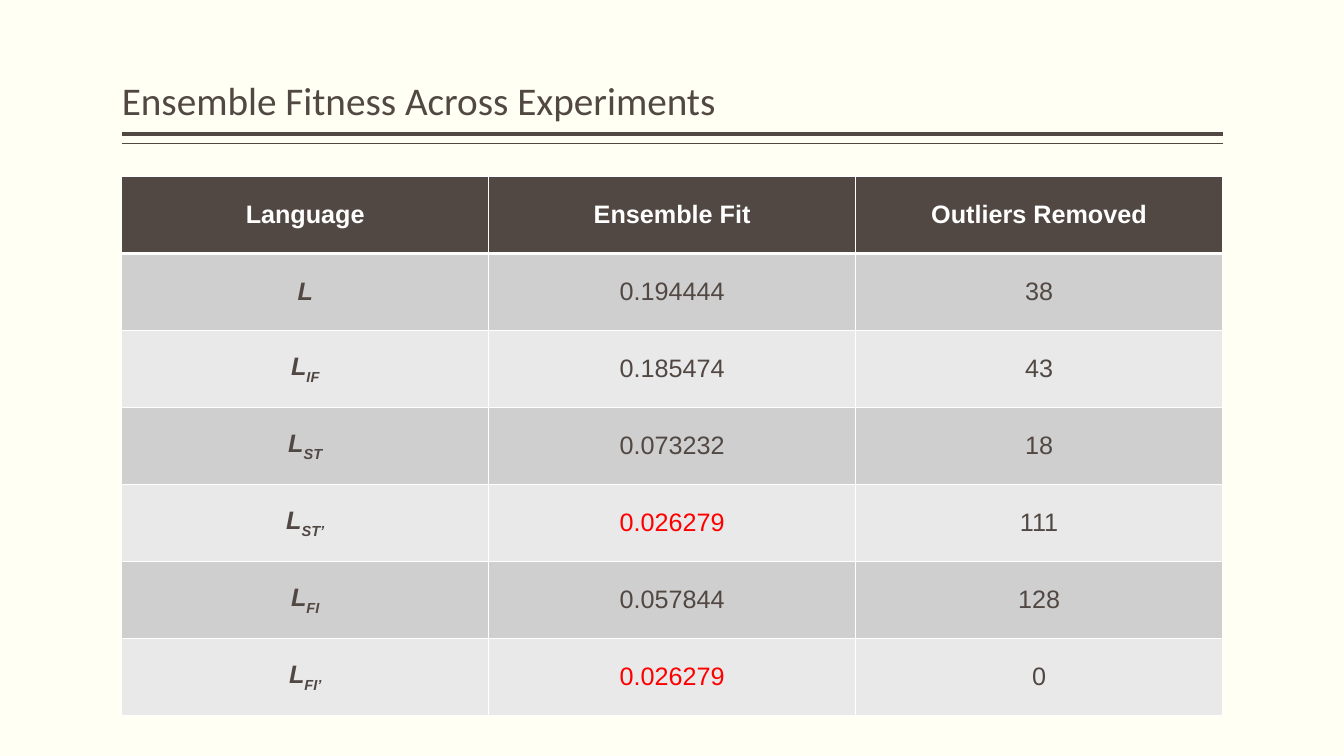
import pptx
import pptx.dml.color
import pptx.enum.shapes
import pptx.enum.text
import pptx.oxml.ns
import pptx.util
from lxml import etree
from pptx.util import Cm, Pt

TITLE = "Ensemble Fitness Across Experiments"
HEADINGS = ["Language", "Ensemble Fit", "Outliers Removed"]
# subscript of the language L, ensemble fit, outliers removed
EXPERIMENTS = [
    ("", "0.194444", "38"),
    ("IF", "0.185474", "43"),
    ("ST", "0.073232", "18"),
    ("ST’", "0.026279", "111"),
    ("FI", "0.057844", "128"),
    ("FI’", "0.026279", "0"),
]
COLORS = {
    "background": "FFFFF3",
    "dark": "514843",
    "white": "FFFFFF",
    "odd_row": "D0CFCF",
    "even_row": "E9E9E9",
    "best": "FF0000",
}
RULES = [(3.38, 3), (3.62, 1)]  # height on the slide in cm, width in points

LEFT, WIDTH = Cm(3.07), Cm(27.74)
TABLE_TOP, ROW_HEIGHT = Cm(4.45), Cm(1.94)


def rgb(name):
    return pptx.dml.color.RGBColor.from_string(COLORS[name])


def set_borders(cell, top, bottom):
    """Draw white cell borders; top and bottom are widths in points."""
    properties = cell._tc.get_or_add_tcPr()
    for side, width in (("L", 1), ("R", 1), ("T", top), ("B", bottom)):
        border = etree.SubElement(
            properties, pptx.oxml.ns.qn(f"a:ln{side}"), w=str(Pt(width)))
        fill = etree.SubElement(border, pptx.oxml.ns.qn("a:solidFill"))
        etree.SubElement(fill, pptx.oxml.ns.qn("a:srgbClr"), val=COLORS["white"])


def fill_cell(cell, text, fill, color, bold=False, italic=False, subscript=""):
    cell.fill.solid()
    cell.fill.fore_color.rgb = rgb(fill)
    cell.vertical_anchor = pptx.enum.text.MSO_ANCHOR.MIDDLE
    paragraph = cell.text_frame.paragraphs[0]
    paragraph.alignment = pptx.enum.text.PP_ALIGN.CENTER
    paragraph.add_run().text = text
    if subscript:
        lowered = paragraph.add_run()
        lowered.text = subscript
        lowered.font._element.set("baseline", "-25000")
    font = paragraph.font
    font.name, font.size = "Arial", Pt(18)
    font.bold, font.italic = bold, italic
    font.color.rgb = rgb(color)


def add_title(slide):
    title = slide.shapes.title
    title.left, title.top, title.width, title.height = LEFT, Cm(0.2), WIDTH, Cm(3.05)
    frame = title.text_frame
    frame.text = TITLE
    frame.auto_size = pptx.enum.text.MSO_AUTO_SIZE.NONE
    frame.vertical_anchor = pptx.enum.text.MSO_ANCHOR.BOTTOM
    frame.margin_left = frame.margin_right = 0
    paragraph = frame.paragraphs[0]
    paragraph.alignment = pptx.enum.text.PP_ALIGN.LEFT
    paragraph.line_spacing = 0.9
    paragraph.font.name, paragraph.font.size = "Calibri", Pt(28)
    paragraph.font.color.rgb = rgb("dark")


def add_rules(slide):
    for height, width in RULES:
        rule = slide.shapes.add_connector(
            pptx.enum.shapes.MSO_CONNECTOR.STRAIGHT,
            LEFT, Cm(height), LEFT + WIDTH, Cm(height))
        rule.line.color.rgb = rgb("dark")
        rule.line.width = Pt(width)
        etree.SubElement(rule._element.spPr, pptx.oxml.ns.qn("a:effectLst"))


def add_results(slide):
    row_count = len(EXPERIMENTS) + 1
    results = slide.shapes.add_table(
        row_count, len(HEADINGS), LEFT, TABLE_TOP, WIDTH, ROW_HEIGHT * row_count).table
    for r in range(row_count):
        for c in range(len(HEADINGS)):
            set_borders(results.cell(r, c),
                        top=3 if r == 1 else 1, bottom=3 if r == 0 else 1)

    for c, heading in enumerate(HEADINGS):
        fill_cell(results.cell(0, c), heading, "dark", "white", bold=True)

    best_fit = min(float(fit) for _, fit, _ in EXPERIMENTS)
    for r, (subscript, fit, outliers) in enumerate(EXPERIMENTS, start=1):
        band = "odd_row" if r % 2 else "even_row"
        fit_color = "best" if float(fit) == best_fit else "dark"
        fill_cell(results.cell(r, 0), "L", band, "dark",
                  bold=True, italic=True, subscript=subscript)
        fill_cell(results.cell(r, 1), fit, band, fit_color)
        fill_cell(results.cell(r, 2), outliers, band, "dark")


def main():
    deck = pptx.Presentation()
    deck.slide_width, deck.slide_height = Cm(33.87), Cm(19.05)
    slide = deck.slides.add_slide(deck.slide_layouts[5])
    slide.background.fill.solid()
    slide.background.fill.fore_color.rgb = rgb("background")
    add_rules(slide)
    add_title(slide)
    add_results(slide)
    deck.save("out.pptx")


if __name__ == "__main__":
    main()
